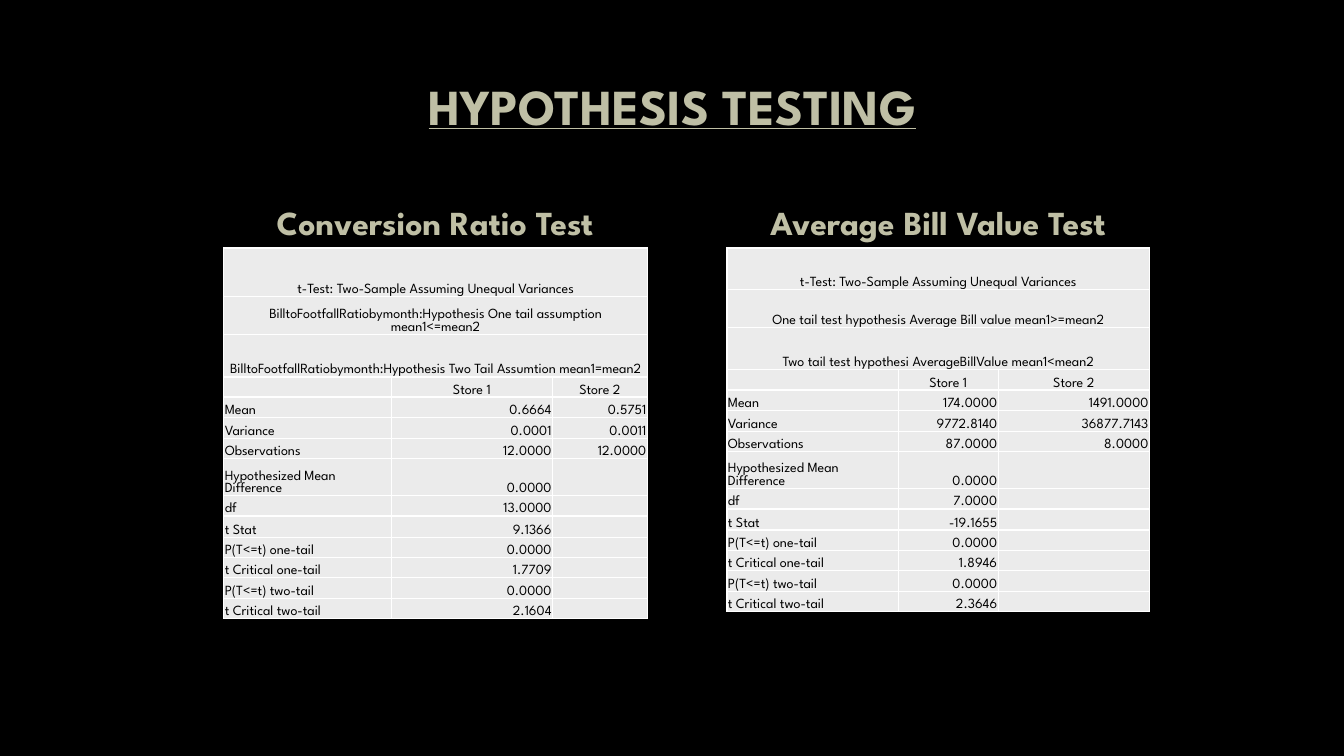
from dataclasses import dataclass

from lxml import etree
from pptx import Presentation
from pptx.dml.color import RGBColor
from pptx.enum.text import MSO_ANCHOR, MSO_AUTO_SIZE, PP_ALIGN
from pptx.oxml.ns import qn
from pptx.slide import Slide
from pptx.table import _Cell
from pptx.text.text import TextFrame
from pptx.util import Emu, Pt

LEFT, CENTER, RIGHT = PP_ALIGN.LEFT, PP_ALIGN.CENTER, PP_ALIGN.RIGHT
MIDDLE, BOTTOM = MSO_ANCHOR.MIDDLE, MSO_ANCHOR.BOTTOM
NO_AUTOFIT = MSO_AUTO_SIZE.NONE
EMU_PER_PX = 9144
FONT = "League Spartan"
COLORS = {
    "background": "000000",
    "heading": "BFBFA5",
    "cell": "EBEBEB",
    "border": "FFFFFF",
    "text": "000000",
}
TITLE_ONLY_LAYOUT = 5
TABLE_TOP = 246
TABLE_WIDTH = 419
HEADING_TOP = 195
HEADING_HEIGHT = 50
LOWER_ROW_HEIGHTS = [38, 42, 20, 20, 21, 20, 37, 20, 21, 20, 20, 21, 20]
MEASURES = [
    "Mean",
    "Variance",
    "Observations",
    "Hypothesized Mean Difference",
    "df",
    "t Stat",
    "P(T<=t) one-tail",
    "t Critical one-tail",
    "P(T<=t) two-tail",
    "t Critical two-tail",
]


@dataclass
class StoreTest:
    heading: str
    left: int
    column_widths: list[int]
    first_row_height: int
    captions: list[str]
    store_1: list[str]
    store_2: list[str]


STORE_TESTS = [
    StoreTest(
        "Conversion Ratio Test", 222, [166, 160, 94], 48,
        [
            "t-Test: Two-Sample Assuming Unequal Variances",
            "BilltoFootfallRatiobymonth:Hypothesis One tail assumption mean1<=mean2",
            "BilltoFootfallRatiobymonth:Hypothesis Two Tail Assumtion mean1=mean2",
        ],
        ["0.6664", "0.0001", "12.0000", "0.0000", "13.0000",
         "9.1366", "0.0000", "1.7709", "0.0000", "2.1604"],
        ["0.5751", "0.0011", "12.0000"],
    ),
    StoreTest(
        "Average Bill Value Test", 721, [170, 99, 150], 41,
        [
            "t-Test: Two-Sample Assuming Unequal Variances",
            "One tail test hypothesis Average Bill value mean1>=mean2",
            "Two tail test hypothesi AverageBillValue mean1<mean2",
        ],
        ["174.0000", "9772.8140", "87.0000", "0.0000", "7.0000",
         "-19.1655", "0.0000", "1.8946", "0.0000", "2.3646"],
        ["1491.0000", "36877.7143", "8.0000"],
    ),
]


def px(length: int) -> Emu:
    return Emu(length * EMU_PER_PX)


def color(name: str) -> RGBColor:
    return RGBColor.from_string(COLORS[name])


def write_text(frame: TextFrame, text: str, size: int, color_name: str,
               alignment: PP_ALIGN, bold: bool = False) -> None:
    paragraph = frame.paragraphs[0]
    if text:
        paragraph.text = text
    else:
        etree.SubElement(paragraph._p, qn("a:endParaRPr"), sz=str(size * 100))
    paragraph.alignment = alignment
    paragraph.font.name = FONT
    paragraph.font.size = Pt(size)
    paragraph.font.bold = bold
    paragraph.font.color.rgb = color(color_name)


def add_borders(cell: _Cell) -> None:
    properties = cell._tc.get_or_add_tcPr()
    for side in ("lnL", "lnR", "lnT", "lnB"):
        line = etree.SubElement(properties, qn(f"a:{side}"), w=str(Pt(1)))
        fill = etree.SubElement(line, qn("a:solidFill"))
        etree.SubElement(fill, qn("a:srgbClr"), val=COLORS["border"])


def format_cell(cell: _Cell, text: str, alignment: PP_ALIGN) -> None:
    add_borders(cell)
    cell.fill.solid()
    cell.fill.fore_color.rgb = color("cell")
    cell.margin_left = cell.margin_right = cell.margin_top = px(1)
    cell.margin_bottom = 0
    cell.vertical_anchor = BOTTOM
    write_text(cell.text_frame, text, 10, "text", alignment)


def add_title(slide: Slide) -> None:
    title = slide.shapes.title
    title.left, title.top, title.width, title.height = map(px, (92, 67, 1150, 75))
    frame = title.text_frame
    frame.auto_size = NO_AUTOFIT
    frame.vertical_anchor = MIDDLE
    write_text(frame, "HYPOTHESIS TESTING", 36, "heading", CENTER, bold=True)
    frame.paragraphs[0].font.underline = True


def add_test_table(slide: Slide, test: StoreTest) -> None:
    row_heights = [test.first_row_height, *LOWER_ROW_HEIGHTS]
    rows = [[caption, "", ""] for caption in test.captions]
    rows.append(["", "Store 1", "Store 2"])
    blanks = [""] * (len(MEASURES) - len(test.store_2))
    rows += map(list, zip(MEASURES, test.store_1, test.store_2 + blanks))

    table = slide.shapes.add_table(
        len(rows), len(test.column_widths), px(test.left), px(TABLE_TOP),
        px(sum(test.column_widths)), px(sum(row_heights)),
    ).table
    table.first_row = False
    table.horz_banding = False
    for column, width in zip(table.columns, test.column_widths):
        column.width = px(width)
    for row, height in zip(table.rows, row_heights):
        row.height = px(height)

    header_count = len(test.captions) + 1
    for row_index, texts in enumerate(rows):
        for column_index, text in enumerate(texts):
            if row_index < header_count:
                alignment = CENTER
            else:
                alignment = RIGHT if column_index else LEFT
            format_cell(table.cell(row_index, column_index), text, alignment)
    for row_index in range(len(test.captions)):
        table.cell(row_index, 0).merge(table.cell(row_index, 2))


def add_heading(slide: Slide, test: StoreTest) -> None:
    heading = slide.shapes.add_textbox(
        px(test.left), px(HEADING_TOP), px(TABLE_WIDTH), px(HEADING_HEIGHT))
    heading.text_frame.word_wrap = True
    write_text(heading.text_frame, test.heading, 24, "heading", CENTER, bold=True)


def main() -> None:
    presentation = Presentation()
    presentation.slide_width = px(1333)
    presentation.slide_height = px(750)
    slide = presentation.slides.add_slide(
        presentation.slide_layouts[TITLE_ONLY_LAYOUT])
    slide.background.fill.solid()
    slide.background.fill.fore_color.rgb = color("background")
    add_title(slide)
    for test in STORE_TESTS:
        add_test_table(slide, test)
    for test in STORE_TESTS:
        add_heading(slide, test)
    presentation.save("out.pptx")


if __name__ == "__main__":
    main()
